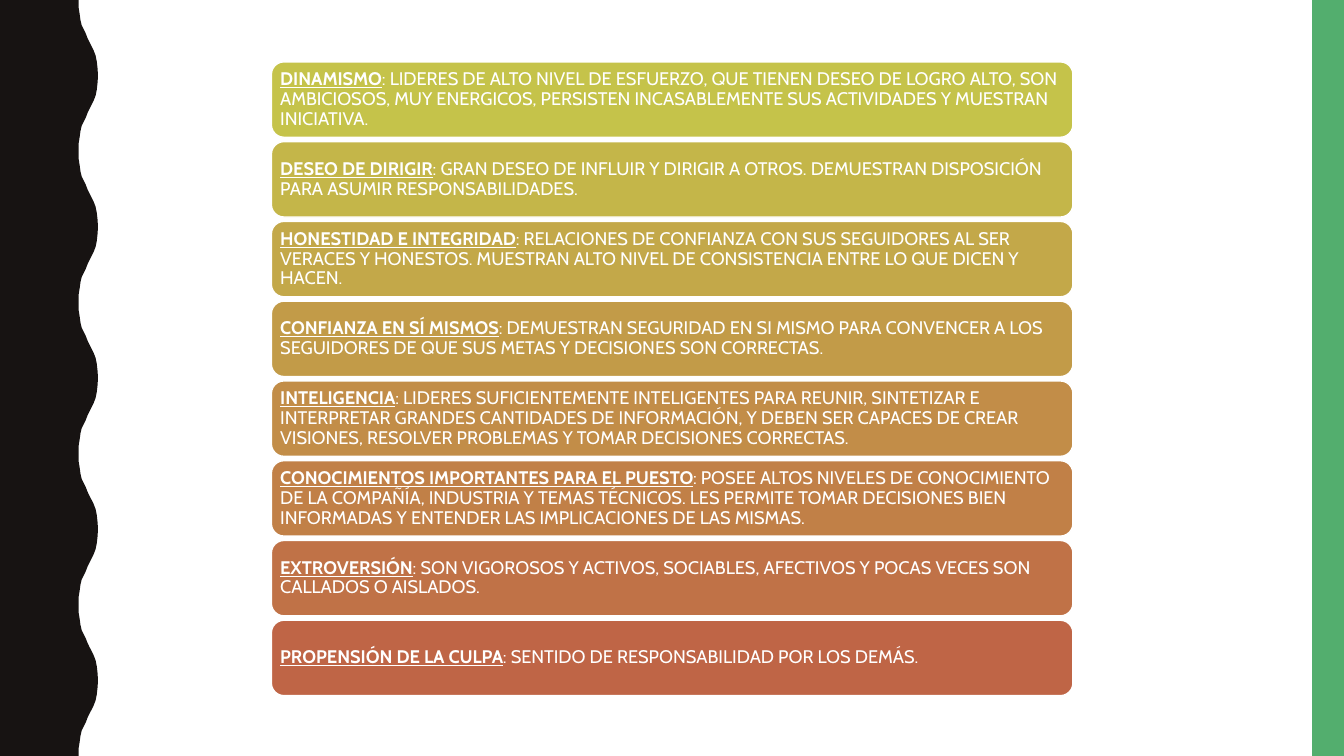
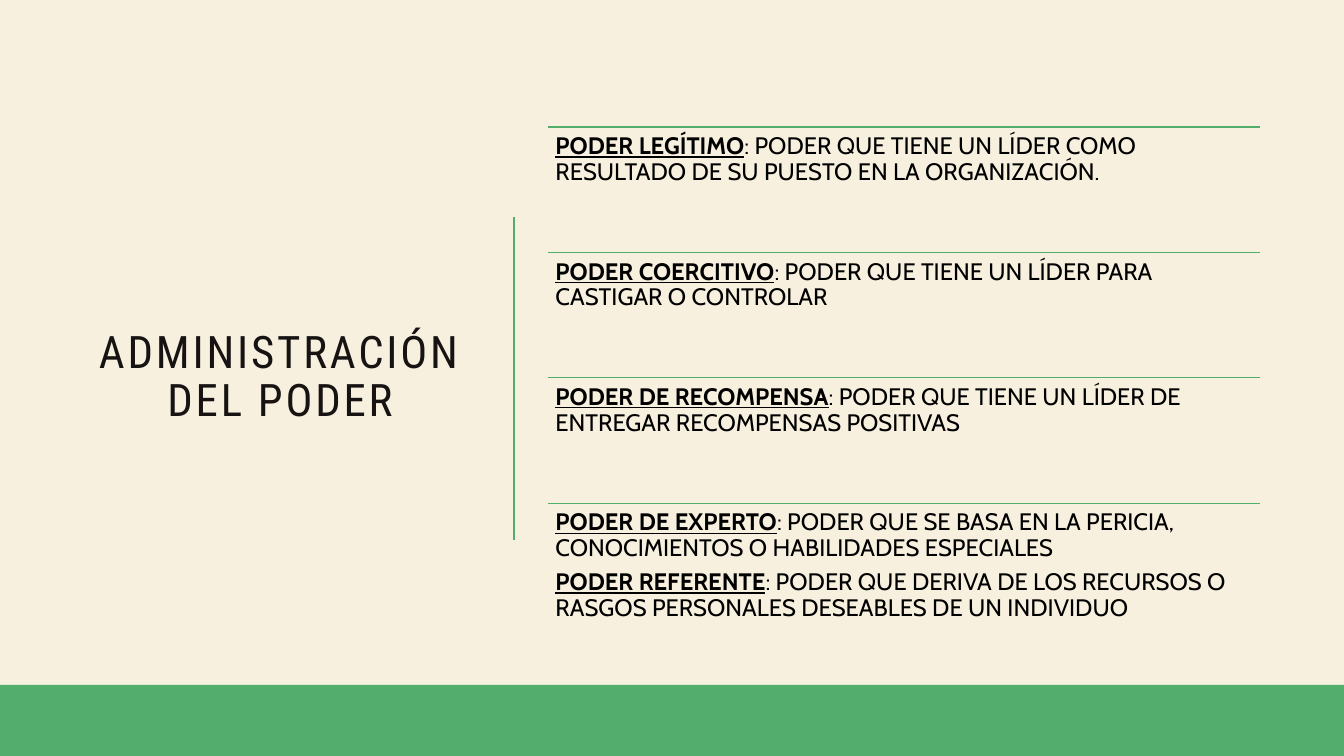
"""Build two slides on the traits of a leader and the kinds of power."""
import dataclasses
import typing

import lxml.etree
import pptx
import pptx.dml.color
import pptx.enum.shapes
import pptx.enum.text
import pptx.oxml.ns
import pptx.slide
import pptx.util

Cm = pptx.util.Cm
Pt = pptx.util.Pt
RGBColor = pptx.dml.color.RGBColor
Anchor = pptx.enum.text.MSO_ANCHOR
Align = pptx.enum.text.PP_ALIGN
ShapeKind = pptx.enum.shapes.MSO_SHAPE

WHITE = RGBColor(0xFF, 0xFF, 0xFF)
BLACK = RGBColor(0, 0, 0)
INK = RGBColor(0x17, 0x13, 0x12)
GREEN = RGBColor(0x53, 0xAE, 0x6E)
CREAM = RGBColor(0xF7, 0xF0, 0xDF)
FIRST_CARD = RGBColor(0xC5, 0xC3, 0x4A)
LAST_CARD = RGBColor(0xBF, 0x65, 0x46)

PAGE_WIDTH, PAGE_HEIGHT = 33.87, 19.05
WAVE_COUNT = 5
WAVE_PERIOD = PAGE_HEIGHT / WAVE_COUNT
HALF_WAVE = (
    (1.98, 0), (1.98, 0.18), (2.01, 0.36), (2.03, 0.51), (2.06, 0.64),
    (2.11, 0.74), (2.16, 0.84), (2.21, 0.97), (2.26, 1.07), (2.31, 1.17),
    (2.36, 1.27), (2.41, 1.4), (2.44, 1.55), (2.46, 1.73), (2.47, 1.9),
)

CARD_TEXT = {"name": "Cabin", "size": Pt(13)}
POWER_TEXT = {"name": "Cabin", "size": Pt(17)}
TITLE_TEXT = {"name": "Roboto Condensed", "size": Pt(32), "bold": False}
BODY_PARAGRAPH = {"alignment": Align.LEFT, "line_spacing": 0.9}


@dataclasses.dataclass(frozen=True)
class Area:
    """A rectangle on the page, in centimetres."""

    left: float
    top: float
    width: float
    height: float

    def lengths(self) -> tuple[Cm, Cm, Cm, Cm]:
        """Return the four sides as lengths."""
        return Cm(self.left), Cm(self.top), Cm(self.width), Cm(self.height)


@dataclasses.dataclass(frozen=True)
class Entry:
    """A term and its explanation."""

    term: str
    meaning: str


TRAITS = (
    Entry("DINAMISMO", "LIDERES DE ALTO NIVEL DE ESFUERZO, QUE TIENEN DESEO DE LOGRO ALTO, "
          "SON AMBICIOSOS, MUY ENERGICOS, PERSISTEN INCASABLEMENTE SUS ACTIVIDADES Y "
          "MUESTRAN INICIATIVA."),
    Entry("DESEO DE DIRIGIR", "GRAN DESEO DE INFLUIR Y DIRIGIR A OTROS. DEMUESTRAN "
          "DISPOSICIÓN PARA ASUMIR RESPONSABILIDADES."),
    Entry("HONESTIDAD E INTEGRIDAD", "RELACIONES DE CONFIANZA CON SUS SEGUIDORES AL SER "
          "VERACES Y HONESTOS. MUESTRAN ALTO NIVEL DE CONSISTENCIA ENTRE LO QUE DICEN Y "
          "HACEN."),
    Entry("CONFIANZA EN SÍ MISMOS", "DEMUESTRAN SEGURIDAD EN SI MISMO PARA CONVENCER A LOS "
          "SEGUIDORES DE QUE SUS METAS Y DECISIONES SON CORRECTAS."),
    Entry("INTELIGENCIA", "LIDERES SUFICIENTEMENTE INTELIGENTES PARA REUNIR, SINTETIZAR E "
          "INTERPRETAR GRANDES CANTIDADES DE INFORMACIÓN, Y DEBEN SER CAPACES DE CREAR "
          "VISIONES, RESOLVER PROBLEMAS Y TOMAR DECISIONES CORRECTAS."),
    Entry("CONOCIMIENTOS IMPORTANTES PARA EL PUESTO", "POSEE ALTOS NIVELES DE CONOCIMIENTO "
          "DE LA COMPAÑÍA, INDUSTRIA Y TEMAS TÉCNICOS. LES PERMITE TOMAR DECISIONES BIEN "
          "INFORMADAS Y ENTENDER LAS IMPLICACIONES DE LAS MISMAS."),
    Entry("EXTROVERSIÓN", "SON VIGOROSOS Y ACTIVOS, SOCIABLES, AFECTIVOS Y POCAS VECES SON "
          "CALLADOS O AISLADOS."),
    Entry("PROPENSIÓN DE LA CULPA", "SENTIDO DE RESPONSABILIDAD POR LOS DEMÁS."),
)

POWERS = (
    (Entry("PODER LEGÍTIMO", "PODER QUE TIENE UN LÍDER COMO RESULTADO DE SU PUESTO EN LA "
           "ORGANIZACIÓN."),),
    (Entry("PODER COERCITIVO", "PODER QUE TIENE UN LÍDER PARA CASTIGAR O CONTROLAR"),),
    (Entry("PODER DE RECOMPENSA", "PODER QUE TIENE UN LÍDER DE ENTREGAR RECOMPENSAS "
           "POSITIVAS"),),
    (Entry("PODER DE EXPERTO", "PODER QUE SE BASA EN LA PERICIA, CONOCIMIENTOS O "
           "HABILIDADES ESPECIALES"),
     Entry("PODER REFERENTE", "PODER QUE DERIVA DE LOS RECURSOS O RASGOS PERSONALES "
           "DESEABLES DE UN INDIVIDUO")),
)


def apply_format(target: typing.Any, values: dict[str, typing.Any]) -> None:
    """Set each named attribute of the target."""
    for name, value in values.items():
        setattr(target, name, value)


def format_frame(frame: typing.Any, inset: float, anchor: Anchor) -> None:
    """Wrap the text of a frame and set its anchor and insets."""
    sides = ("left", "top", "right", "bottom")
    apply_format(frame, {f"margin_{side}": Cm(inset) for side in sides})
    apply_format(frame, {"word_wrap": True, "vertical_anchor": anchor,
                         "auto_size": pptx.enum.text.MSO_AUTO_SIZE.NONE})


def write_entries(frame: typing.Any, entries: typing.Sequence[Entry],
                  text: dict[str, typing.Any], color: RGBColor) -> None:
    """Write one paragraph per entry, its term bold and underlined."""
    for index, entry in enumerate(entries):
        para = frame.add_paragraph() if index else frame.paragraphs[0]
        apply_format(para, BODY_PARAGRAPH)
        if index:
            para.space_before = Pt(6)
        for words, strong in ((entry.term, True), (f": {entry.meaning}", False)):
            span = para.add_run()
            span.text = words
            apply_format(span.font, {**text, "bold": strong, "underline": strong})
            span.font.color.rgb = color


def fill_shape(shape: typing.Any, color: RGBColor) -> None:
    """Give a shape a plain fill with no outline and no shadow."""
    shape.shadow.inherit = False
    shape.fill.solid()
    shape.fill.fore_color.rgb = color
    shape.line.fill.background()


def add_block(page: pptx.slide.Slide, kind: ShapeKind, area: Area, color: RGBColor) -> typing.Any:
    """Add a filled preset shape."""
    block = page.shapes.add_shape(kind, *area.lengths())
    fill_shape(block, color)
    return block


def add_rule(page: pptx.slide.Slide, start: tuple[float, float], end: tuple[float, float],
             weight: float) -> None:
    """Add a straight green line."""
    rule = page.shapes.add_connector(pptx.enum.shapes.MSO_CONNECTOR.STRAIGHT,
                                     *map(Cm, start + end))
    rule.line.color.rgb = GREEN
    rule.line.width = Pt(weight)
    lxml.etree.SubElement(rule._element.spPr, pptx.oxml.ns.qn("a:effectLst"))


def add_wave(page: pptx.slide.Slide) -> None:
    """Add the dark band with a wavy edge at the left."""
    mirrored = [(x, WAVE_PERIOD - y) for x, y in reversed(HALF_WAVE)]
    edge = [(x, y + wave * WAVE_PERIOD) for wave in range(WAVE_COUNT)
            for x, y in (*HALF_WAVE, *mirrored)]
    builder = page.shapes.build_freeform(0, 0)
    builder.add_line_segments([(Cm(x), Cm(y)) for x, y in (*edge, (0, PAGE_HEIGHT))])
    fill_shape(builder.convert_to_shape(), INK)


def add_page(deck: typing.Any, layout: int, color: RGBColor) -> pptx.slide.Slide:
    """Add a page with a plain background."""
    page = deck.slides.add_slide(deck.slide_layouts[layout])
    page.background.fill.solid()
    page.background.fill.fore_color.rgb = color
    return page


def card_color(index: int) -> RGBColor:
    """Blend from the first card colour to the last."""
    share = index / (len(TRAITS) - 1)
    return RGBColor(*(round(first + (last - first) * share)
                      for first, last in zip(FIRST_CARD, LAST_CARD)))


def build_traits(deck: typing.Any) -> None:
    """Build the page with a column of cards."""
    page = add_page(deck, 6, WHITE)
    add_wave(page)
    add_block(page, ShapeKind.RECTANGLE, Area(33.07, 0, 0.8, PAGE_HEIGHT), GREEN)
    first = Area(6.84, 1.56, 20.2, 1.9)
    pitch = 2.01
    for index, trait in enumerate(TRAITS):
        area = dataclasses.replace(first, top=first.top + index * pitch)
        card = add_block(page, ShapeKind.ROUNDED_RECTANGLE, area, card_color(index))
        card.line.color.rgb = WHITE
        card.line.width = Pt(1)
        format_frame(card.text_frame, 0.13, Anchor.MIDDLE)
        write_entries(card.text_frame, [trait], CARD_TEXT, WHITE)


def write_title(page: pptx.slide.Slide, words: str, area: Area) -> None:
    """Place and format the title of a page."""
    title = page.shapes.title
    apply_format(title, dict(zip(("left", "top", "width", "height"), area.lengths())))
    format_frame(title.text_frame, 0.2, Anchor.MIDDLE)
    para = title.text_frame.paragraphs[0]
    apply_format(para, {"alignment": Align.CENTER, "line_spacing": 0.9})
    span = para.add_run()
    span.text = words
    apply_format(span.font, TITLE_TEXT)
    span.font.color.rgb = INK
    span._r.get_or_add_rPr().set("spc", "200")


def build_powers(deck: typing.Any) -> None:
    """Build the page with a title beside a ruled list."""
    page = add_page(deck, 5, CREAM)
    write_title(page, "ADMINISTRACIÓN DEL PODER", Area(2.11, 3.2, 9.9, 12.65))
    add_rule(page, (12.95, 5.46), (12.95, 13.6), 1.75)
    first = Area(13.82, 3.2, 17.93, 3.16)
    for index, entries in enumerate(POWERS):
        area = dataclasses.replace(first, top=first.top + index * first.height)
        add_rule(page, (area.left, area.top), (area.left + area.width, area.top), 1)
        box = page.shapes.add_textbox(*area.lengths())
        format_frame(box.text_frame, 0.18, Anchor.TOP)
        write_entries(box.text_frame, entries, POWER_TEXT, BLACK)
    add_block(page, ShapeKind.RECTANGLE, Area(0, 17.26, PAGE_WIDTH, 1.79), GREEN)


def main() -> None:
    """Build and save the deck."""
    deck = pptx.Presentation()
    deck.slide_width, deck.slide_height = Cm(PAGE_WIDTH), Cm(PAGE_HEIGHT)
    build_traits(deck)
    build_powers(deck)
    deck.save("out.pptx")


if __name__ == "__main__":
    main()
